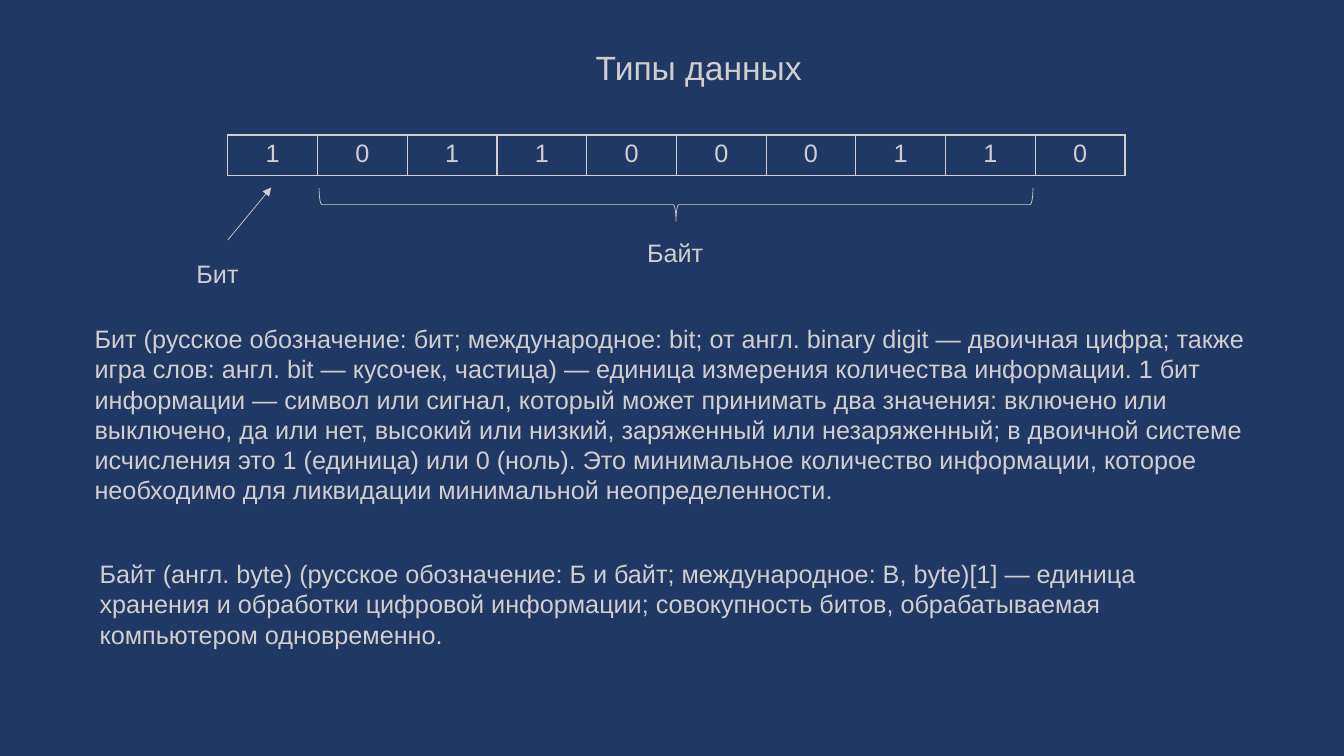
from dataclasses import dataclass

from lxml import etree
from pptx import Presentation
from pptx.dml.color import RGBColor
from pptx.enum.shapes import MSO_CONNECTOR, MSO_SHAPE
from pptx.enum.text import MSO_ANCHOR, MSO_AUTO_SIZE, PP_ALIGN
from pptx.oxml.ns import qn
from pptx.slide import Slide
from pptx.text.text import _Paragraph
from pptx.util import Inches, Pt

NAVY = RGBColor(0x20, 0x38, 0x64)
SILVER = RGBColor(0xD0, 0xCE, 0xCE)
FONT = "Arial"
BODY_SIZE = 18
CENTER = PP_ALIGN.CENTER
MIDDLE = MSO_ANCHOR.MIDDLE
GROW = MSO_AUTO_SIZE.SHAPE_TO_FIT_TEXT
STRAIGHT = MSO_CONNECTOR.STRAIGHT
LEFT_BRACE = MSO_SHAPE.LEFT_BRACE

BITS = "1011000110"
BIT_WIDTH = 0.89
BIT_HEIGHT = 0.38


@dataclass
class Label:
    left: float
    top: float
    width: float
    height: float
    text: str
    wrap: bool = True


LABELS = [
    Label(1.85, 2.51, 0.62, 0.4, "Бит", wrap=False),
    Label(6.32, 2.31, 0.76, 0.4, "Байт", wrap=False),
    Label(
        0.84, 3.16, 11.73, 1.92,
        "Бит (русское обозначение: бит; международное: bit; от англ. binary digit — "
        "двоичная цифра; также игра слов: англ. bit — кусочек, частица) — единица "
        "измерения количества информации. 1 бит информации — символ или сигнал, "
        "который может принимать два значения: включено или выключено, да или нет, "
        "высокий или низкий, заряженный или незаряженный; в двоичной системе "
        "исчисления это 1 (единица) или 0 (ноль). Это минимальное количество "
        "информации, которое необходимо для ликвидации минимальной неопределенности.",
    ),
    Label(
        0.89, 5.49, 11.56, 1.01,
        "Байт (англ. byte) (русское обозначение: Б и байт; международное: B, byte)[1] — "
        "единица хранения и обработки цифровой информации; совокупность битов, "
        "обрабатываемая компьютером одновременно.",
    ),
]


def add_span(para: _Paragraph, text: str, size: int = BODY_SIZE) -> None:
    span = para.add_run()
    span.text = text
    span.font.name = FONT
    span.font.size = Pt(size)
    span.font.color.rgb = SILVER


def add_title(page: Slide, text: str) -> None:
    box = page.shapes.add_textbox(Inches(1.18), Inches(0.44), Inches(11.5), Inches(0.5))
    frame = box.text_frame
    frame.word_wrap = True
    frame.vertical_anchor = MIDDLE
    para = frame.paragraphs[0]
    para.alignment = CENTER
    para.line_spacing = 0.9
    add_span(para, text, 24)


def add_label(page: Slide, label: Label) -> None:
    box = page.shapes.add_textbox(
        Inches(label.left), Inches(label.top), Inches(label.width), Inches(label.height)
    )
    frame = box.text_frame
    frame.word_wrap = label.wrap
    frame.auto_size = GROW
    add_span(frame.paragraphs[0], label.text)


def add_bit_table(page: Slide) -> None:
    frame = page.shapes.add_table(
        1, len(BITS), Inches(2.26), Inches(1.34),
        Inches(BIT_WIDTH * len(BITS)), Inches(BIT_HEIGHT),
    )
    table = frame.table
    table.first_row = False
    table.horz_banding = False
    for column, bit in enumerate(BITS):
        table.columns[column].width = Inches(BIT_WIDTH)
        cell = table.cell(0, column)
        para = cell.text_frame.paragraphs[0]
        para.alignment = CENTER
        add_span(para, bit)
        # Borders come before the fill in the cell properties
        properties = cell._tc.get_or_add_tcPr()
        for side in ("a:lnL", "a:lnR", "a:lnT", "a:lnB"):
            border = etree.SubElement(properties, qn(side), w=str(Pt(1)))
            fill = etree.SubElement(border, qn("a:solidFill"))
            etree.SubElement(fill, qn("a:srgbClr"), val=str(SILVER))
        cell.fill.background()


def add_bit_arrow(page: Slide) -> None:
    arrow = page.shapes.add_connector(
        STRAIGHT, Inches(2.26), Inches(2.38), Inches(2.69), Inches(1.86)
    )
    arrow.line.color.rgb = SILVER
    arrow.line.width = Pt(0.5)
    etree.SubElement(arrow.line._get_or_add_ln(), qn("a:tailEnd"), type="triangle")
    etree.SubElement(arrow._element.spPr, qn("a:effectLst"))


def add_byte_brace(page: Slide) -> None:
    brace = page.shapes.add_shape(
        LEFT_BRACE, Inches(6.54), Inches(-1.51), Inches(0.33), Inches(7.08)
    )
    brace.rotation = 270
    brace.shadow.inherit = False
    brace.fill.background()
    brace.line.color.rgb = SILVER
    brace.line.width = Pt(0.5)


def main() -> None:
    deck = Presentation()
    deck.slide_width = Inches(13.33)
    deck.slide_height = Inches(7.5)
    page = deck.slides.add_slide(deck.slide_layouts[6])
    page.background.fill.solid()
    page.background.fill.fore_color.rgb = NAVY

    # Title and row of bits
    add_title(page, "Типы данных")
    add_bit_table(page)

    # Pointers to one bit and one byte
    add_bit_arrow(page)
    add_byte_brace(page)

    # Captions and definitions
    for label in LABELS:
        add_label(page, label)

    deck.save("out.pptx")


if __name__ == "__main__":
    main()
